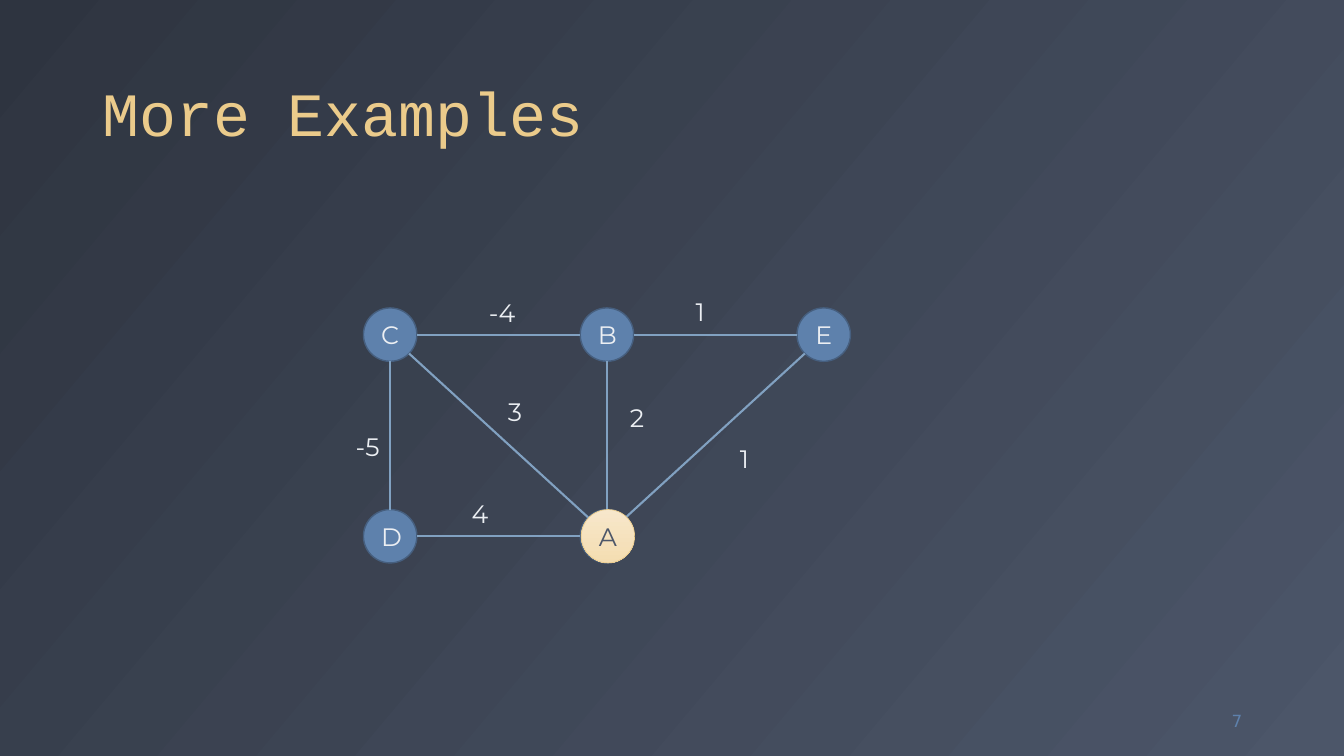
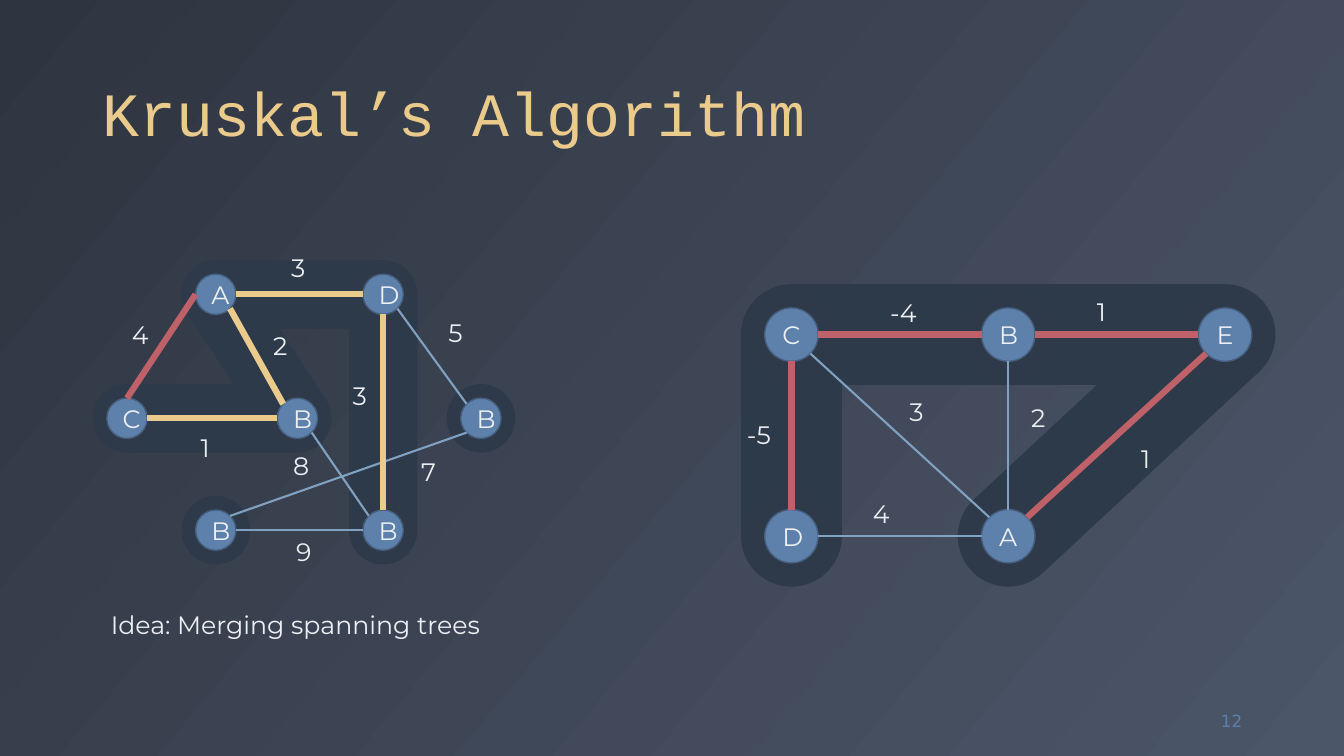
import math
from pptx import Presentation
from pptx import util as u
from pptx.dml.color import RGBColor
from pptx.enum import shapes, text
from pptx.oxml.ns import qn
from lxml import etree

PALETTE = {"bg": ("2E3440", "4C5669"), "gold": ("F7E7CB", "F4DDB1"),
           "node": "5E81AC", "rim": "465F7F", "light": "ECEFF3",
           "title": "EBCB8B", "dark": "4C5669", "band": "2D3A49", "disc": "2E3A49"}
LINES = {"plain": ("81A1C1", 1.5), "tree": ("EBCB8B", 4.5), "new": ("BF6169", 4.5)}
BODY = {"name": "Montserrat", "size": u.Pt(18)}
LABEL_WIDTHS = {"1": 0.29, "-5": 0.44, "-4": 0.46}

COLS, ROWS = [3.87 + 2.15 * i for i in range(3)], (3.32, 5.32)
EXAMPLE = {
    "size": 0.53,
    "halo": 1,
    "nodes": {"A": ("A", COLS[1], ROWS[1]), "B": ("B", COLS[1], ROWS[0]),
              "C": ("C", COLS[0], ROWS[0]), "D": ("D", COLS[0], ROWS[1]),
              "E": ("E", COLS[2], ROWS[0])},
    "edges": [("A", 0, "B", 4), ("A", 1, "C", 5), ("A", 2, "D", 6),
              ("D", 0, "C", 4), ("C", 6, "B", 2), ("B", 6, "E", 2), ("A", 7, "E", 3)],
    "labels": [("2", 6.15, 3.94), ("3", 4.94, 3.88), ("4", 4.58, 4.89),
               ("-4", 4.75, 2.9), ("1", 7.24, 4.35), ("1", 6.8, 2.89)],
}
EXAMPLE_TREE = {"DC": "new", "CB": "new", "BE": "new", "AE": "new"}

MERGING = {
    "size": 0.4,
    "halo": 0.68,
    "nodes": {"C": ("C", 1.26, 4.15), "A": ("A", 2.14, 2.92), "B": ("B", 2.95, 4.15),
              "D": ("D", 3.8, 2.92), "F": ("B", 2.14, 5.26), "G": ("B", 3.8, 5.26),
              "H": ("B", 4.77, 4.15)},
    "edges": [("A", 6, "D", 2), ("A", 5, "B", 1), ("C", 6, "B", 2),
              ("C", 0, "A", 2), ("F", 6, "G", 2), ("D", 4, "G", 0),
              ("B", 5, "G", 1), ("D", 5, "H", 1), ("F", 7, "H", 3)],
    "labels": [("4", 1.21, 3.12), ("1", 1.89, 4.24), ("2", 2.61, 3.23),
               ("3", 2.79, 2.45), ("5", 4.35, 3.1), ("3", 3.4, 3.72),
               ("9", 2.84, 5.27), ("7", 4.08, 4.48), ("8", 2.81, 4.42)],
}
MERGING_TREE = {"AD": "tree", "AB": "tree", "CB": "tree", "DG": "tree", "CA": "new"}


def rgb(value):
    return RGBColor.from_string(value)


def gradient(fill, colors, clockwise):
    fill.gradient()
    fill.gradient_angle = 360 - clockwise
    for stop, color in zip(fill.gradient_stops, colors):
        stop.color.rgb = rgb(color)


def style(obj, values):
    for name, value in values.items():
        setattr(obj, name, value)


def write(tf, content, color, font=BODY, **para):
    p = tf.paragraphs[0]
    style(p, para)
    r = p.add_run()
    r.text = content
    style(r.font, font)
    r.font.color.rgb = rgb(color)


def add_text(s, content, x, y, w, color=PALETTE["light"], font=BODY, frame=None, **para):
    tf = s.shapes.add_textbox(*map(u.Inches, (x, y, w, 0.4))).text_frame
    style(tf, frame or {"word_wrap": False, "auto_size": text.MSO_AUTO_SIZE.SHAPE_TO_FIT_TEXT})
    write(tf, content, color, font, **para)


def add_label(s, content, x, y):
    add_text(s, content, x, y, LABEL_WIDTHS.get(content, 0.37))


def add_centred(s, kind, x, y, w, h, fill, line=None):
    sp = s.shapes.add_shape(kind, *map(u.Inches, (x - w / 2, y - h / 2, w, h)))
    sp.shadow.inherit = False
    if isinstance(fill, tuple):
        gradient(sp.fill, fill, 90)
    else:
        sp.fill.solid()
        sp.fill.fore_color.rgb = rgb(fill)
    if line:
        sp.line.color.rgb, sp.line.width = rgb(line[0]), u.Pt(line[1])
    else:
        sp.line.fill.background()
    return sp


def add_node(s, label, x, y, size, fill=PALETTE["node"], line=(PALETTE["rim"], 1),
             color=PALETTE["light"]):
    sp = add_centred(s, shapes.MSO_SHAPE.OVAL, x, y, size, size, fill, line)
    sp.text_frame.vertical_anchor = text.MSO_ANCHOR.MIDDLE
    write(sp.text_frame, label, color, alignment=text.PP_ALIGN.CENTER)


def rim_point(node, site, size):
    angle = math.radians(45 * site)
    return (node[1] - size / 2 * math.sin(angle), node[2] - size / 2 * math.cos(angle))


def add_edge(s, start, end, kind):
    c = s.shapes.add_connector(shapes.MSO_CONNECTOR.STRAIGHT, *map(u.Inches, start + end))
    color, width = LINES[kind]
    c.line.color.rgb, c.line.width = rgb(color), u.Pt(width)
    etree.SubElement(c._element.spPr, qn("a:effectLst"))


def add_halo(s, nodes, pairs, width):
    for a, b in pairs:
        (_, x1, y1), (_, x2, y2) = nodes[a], nodes[b]
        band = add_centred(s, shapes.MSO_SHAPE.RECTANGLE, (x1 + x2) / 2, (y1 + y2) / 2,
                           math.dist((x1, y1), (x2, y2)), width, PALETTE["band"])
        band.rotation = math.degrees(math.atan2(y2 - y1, x2 - x1))
    for _, x, y in nodes.values():
        add_centred(s, shapes.MSO_SHAPE.OVAL, x, y, width, width, PALETTE["disc"])


def add_graph(s, graph, tree=None, banded=(), dx=0):
    tree, size = tree or {}, graph["size"]
    nodes = {k: (label, x + dx, y) for k, (label, x, y) in graph["nodes"].items()}
    if banded:
        add_halo(s, nodes, banded, graph["halo"])
    for node in nodes.values():
        add_node(s, *node, size)
    for a, i, b, j in sorted(graph["edges"], key=lambda e: e[0] + e[2] in tree):
        add_edge(s, rim_point(nodes[a], i, size), rim_point(nodes[b], j, size),
                 tree.get(a + b, "plain"))
    for label, x, y in graph["labels"]:
        add_label(s, label, x + dx, y)


def add_slide(prs, title, number):
    s = prs.slides.add_slide(prs.slide_layouts[5])
    sp = s.shapes.title
    style(sp, dict(zip(("left", "top", "width", "height"),
                       map(u.Inches, (0.92, 0.18, 11.5, 1.36)))))
    style(sp.text_frame, {"vertical_anchor": text.MSO_ANCHOR.BOTTOM, "word_wrap": True,
                          "auto_size": text.MSO_AUTO_SIZE.NONE})
    write(sp.text_frame, title, PALETTE["title"], {"name": "Courier New", "size": u.Pt(44)},
          alignment=text.PP_ALIGN.LEFT, line_spacing=0.9)
    add_text(s, number, 11.59, 6.95, 0.83, PALETTE["node"],
             {"name": "DejaVu Sans", "size": u.Pt(12)},
             {"word_wrap": True, "vertical_anchor": text.MSO_ANCHOR.MIDDLE},
             alignment=text.PP_ALIGN.RIGHT)
    return s


def main():
    prs = Presentation()
    prs.slide_width, prs.slide_height = u.Inches(13.33), u.Inches(7.5)
    gradient(prs.slide_master.background.fill, PALETTE["bg"], 40)

    s = add_slide(prs, "More Examples", "7")
    add_graph(s, EXAMPLE)
    add_label(s, "-5", 3.43, 4.23)
    add_node(s, "A", COLS[1] + 0.01, ROWS[1], EXAMPLE["size"], PALETTE["gold"],
             (PALETTE["title"], 0.5), PALETTE["dark"])

    s = add_slide(prs, "Kruskal’s Algorithm", "12")
    add_graph(s, MERGING, MERGING_TREE, [e for e, k in MERGING_TREE.items() if k == "tree"])
    add_graph(s, EXAMPLE, EXAMPLE_TREE, list(EXAMPLE_TREE), 3.98)
    add_label(s, "-5", 7.31, 4.11)
    add_text(s, "Idea: Merging spanning trees", 1, 6, 3.91)

    prs.save("out.pptx")


if __name__ == "__main__":
    main()
